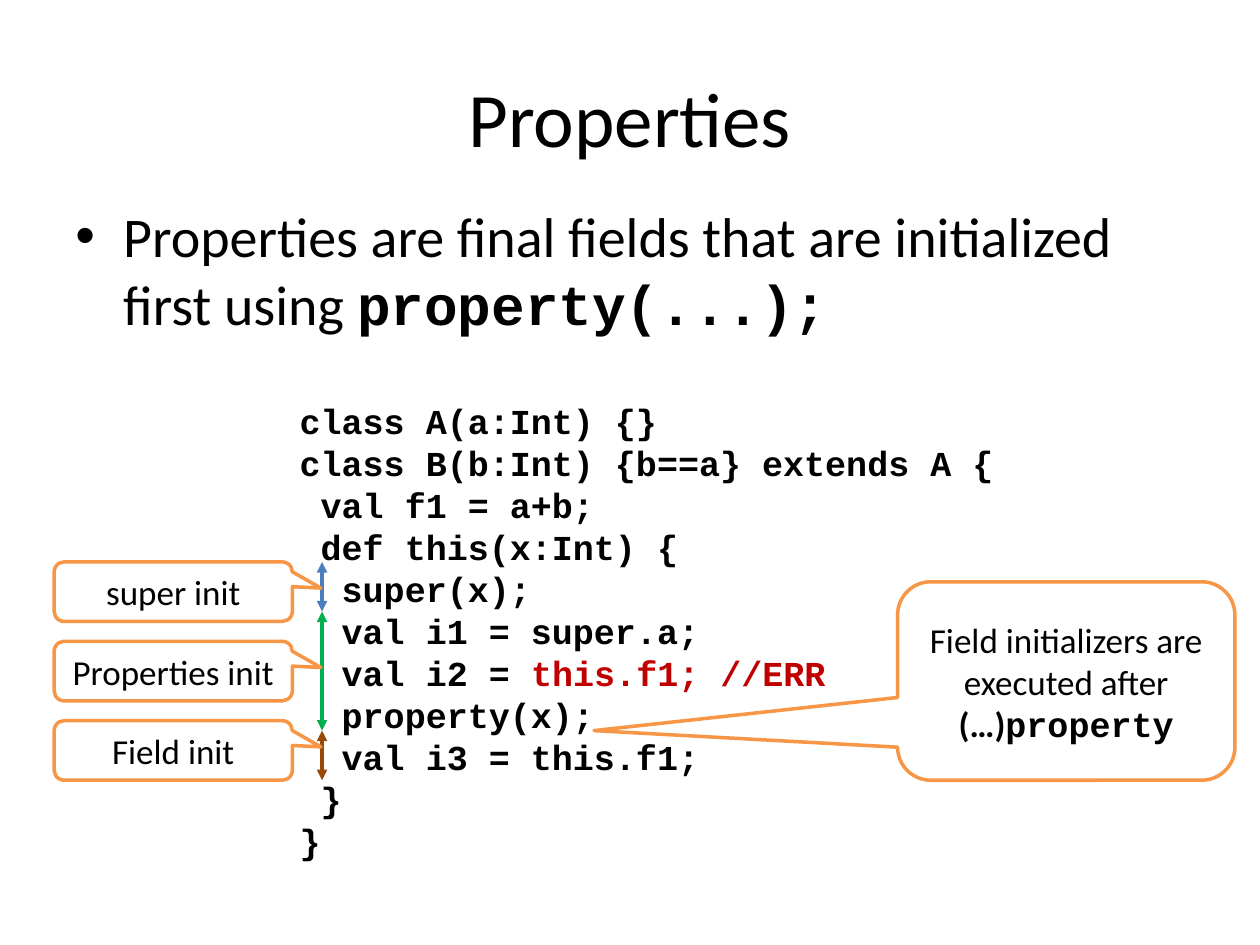
from lxml.etree import SubElement
from pptx import Presentation
from pptx.dml.color import RGBColor
from pptx.enum.shapes import MSO_CONNECTOR, MSO_SHAPE
from pptx.enum.text import MSO_ANCHOR, PP_ALIGN
from pptx.oxml.ns import qn
from pptx.util import Inches, Pt

WIDE, HIGH = 10, 7.5
LEFT, TOP, UNIT = 0.43, 4.46, 0.63 / 4
BLACK, WHITE, ORANGE, RED = "000000", "FFFFFF", "F79646", "C00000"
SANS = {"name": "Calibri", "size": Pt(20), "bold": False}
MONO = {"name": "Courier New", "size": Pt(20), "bold": True}
MID = {"word_wrap": True, "vertical_anchor": MSO_ANCHOR.MIDDLE}
FLOW = {"word_wrap": True, "vertical_anchor": MSO_ANCHOR.TOP}

CODE = [
    [("class A(a:Int) {}", BLACK)],
    [("class B(b:Int) {b==a} extends A {", BLACK)],
    [(" val f1 = a+b;", BLACK)],
    [(" def this(x:Int) {", BLACK)],
    [("  super(x);", BLACK)],
    [("  val i1 = super.a;", BLACK)],
    [("  val i2 = ", BLACK), ("this.f1; //ERR", RED)],
    [("  property(x);", BLACK)],
    [("  val i3 = this.f1; ", BLACK)],
    [(" }", BLACK)],
    [("}", BLACK)],
]
SPANS = [(0, 2.5, "4B7EBC"), (2.5, 8.5, "00B050"), (8.5, 11, "984807")]
STEPS = ["super init", "Properties init", "Field init"]


def paint(tone):
    """Turn a hex string into a colour."""
    return RGBColor.from_string(tone)


def apply(item, form):
    """Set each attribute named in a dict of format values."""
    for key, value in form.items():
        setattr(item, key, value)


def spot(col, row):
    """Give the place of a grid column and row."""
    return Inches(LEFT + col * UNIT), Inches(TOP + row * UNIT)


def share(x, y, w, h):
    """Turn shares of the slide's size into lengths."""
    return [Inches(part * side) for part, side in zip((x, y, w, h), (WIDE, HIGH) * 2)]


def write(para, text, form, tone=BLACK):
    """Add one formatted run to a paragraph."""
    run = para.add_run()
    run.text = text
    apply(run.font, form)
    run.font.color.rgb = paint(tone)
    return run


def add_title(slide, text):
    """Place and format the title."""
    title = slide.shapes.title
    apply(title, dict(zip(("left", "top", "width", "height"), share(0.05, 0.04, 0.9, 0.167))))
    apply(title.text_frame, MID)
    para = title.text_frame.paragraphs[0]
    para.alignment = PP_ALIGN.CENTER
    write(para, text, {**SANS, "size": Pt(44)})


def add_box(slide, place):
    """Add a wrapping text box and return its frame."""
    frame = slide.shapes.add_textbox(*share(*place)).text_frame
    apply(frame, FLOW)
    return frame


def add_point(slide, text, code):
    """Add the bulleted statement ending in code."""
    para = add_box(slide, (0.05, 0.207, 0.9, 0.308)).paragraphs[0]
    para.space_before = Pt(6.4)
    props = para._p.get_or_add_pPr()
    props.set("marL", str(Inches(0.38)))
    props.set("indent", str(Inches(-0.38)))
    SubElement(props, qn("a:buFont"), typeface="Arial")
    SubElement(props, qn("a:buChar"), char="\u2022")
    for part, form in ((text, SANS), (code, MONO)):
        write(para, part, {**form, "size": Pt(32)})


def add_code(slide, lines):
    """Add the listing, one paragraph a line."""
    frame = add_box(slide, (0.228, 0.416, 0.571, 0.507))
    for index, parts in enumerate(lines):
        para = frame.add_paragraph() if index else frame.paragraphs[0]
        for text, tone in parts:
            write(para, text, MONO, tone)


def add_span(slide, col, start, stop, tone):
    """Add an upright arrow with two heads between grid rows."""
    line = slide.shapes.add_connector(
        MSO_CONNECTOR.STRAIGHT, *spot(col, stop), *spot(col, start))
    line.line.color.rgb = paint(tone)
    line.line.width = Pt(2)
    for end in ("headEnd", "tailEnd"):
        SubElement(line.line._get_or_add_ln(), qn("a:" + end), type="triangle")
    SubElement(line._element.spPr, qn("a:effectLst"))


def add_call(slide, place, size, tip, parts):
    """Add a callout with right-to-left centred text."""
    call = slide.shapes.add_shape(
        MSO_SHAPE.ROUNDED_RECTANGULAR_CALLOUT, *spot(*place),
        *[Inches(part * UNIT) for part in size])
    call.shadow.inherit = False
    for index, value in enumerate((*tip, 0.167)):
        call.adjustments[index] = value
    call.fill.solid()
    call.fill.fore_color.rgb = paint(WHITE)
    call.line.color.rgb = paint(ORANGE)
    call.line.width = Pt(2)
    apply(call.text_frame, MID)
    para = call.text_frame.paragraphs[0]
    para.alignment = PP_ALIGN.CENTER
    para._p.get_or_add_pPr().set("rtl", "1")
    for text, form in parts:
        run = write(para, text, form)
        SubElement(run._r.get_or_add_rPr(), qn("a:cs"), typeface="Calibri")


def main():
    """Build and save the slide."""
    deck = Presentation()
    apply(deck, {"slide_width": Inches(WIDE), "slide_height": Inches(HIGH)})
    slide = deck.slides.add_slide(deck.slide_layouts[5])
    add_title(slide, "Properties")
    add_point(slide, "Properties are final fields that are initialized first using ",
              "property(...);")
    add_code(slide, CODE)
    for start, stop, tone in SPANS:
        add_span(slide, 13.5, start, stop, tone)
    add_call(slide, (42.5, 1), (17, 10), (-1.4, 0.25),
             [("Field initializers are executed after ", SANS), ("property(\u2026)", MONO)])
    for index, text in enumerate(STEPS):
        add_call(slide, (0, 4 * index), (12, 3), (0.62, -0.06), [(text, SANS)])
    deck.save("out.pptx")


main()
